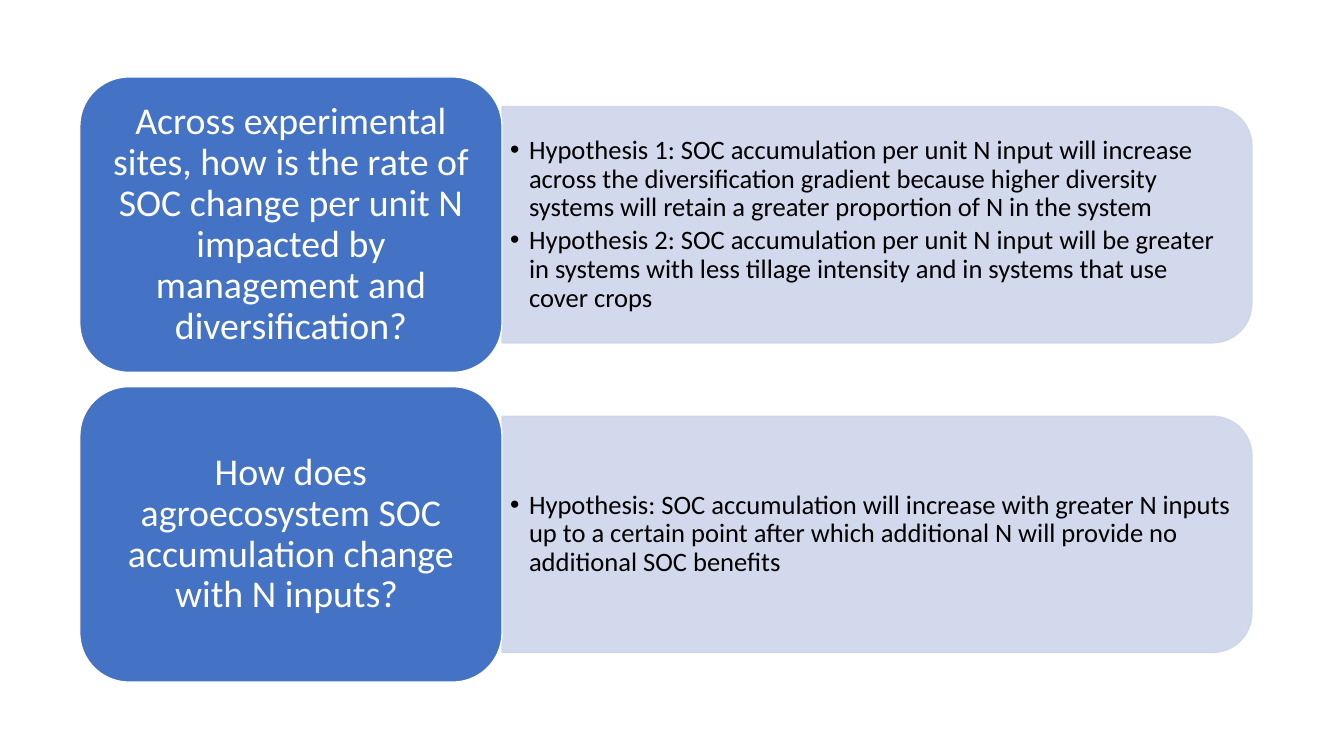
from lxml.etree import SubElement
from pptx import Presentation
from pptx.dml.color import RGBColor
from pptx.enum.shapes import MSO_SHAPE as Shape
from pptx.enum.text import MSO_ANCHOR as Anchor, PP_ALIGN as Align
from pptx.oxml.ns import qn
from pptx.util import Pt

BLUE, PALE, WHITE, BLACK = "4472C4", "CFD5EA", "FFFFFF", "000000"
ROWS = [
    ("Across experimental sites, how is the rate of SOC change per unit N "
     "impacted by management and diversification?",
     ["Hypothesis 1: SOC accumulation per unit N input will increase across the "
      "diversification gradient because higher diversity systems will retain a "
      "greater proportion of N in the system",
      "Hypothesis 2: SOC accumulation per unit N input will be greater in systems "
      "with less tillage intensity and in systems that use cover crops"]),
    ("How does agroecosystem SOC accumulation change with N inputs? ",
     ["Hypothesis: SOC accumulation will increase with greater N inputs up to a "
      "certain point after which additional N will provide no additional SOC benefits"]),
]
LEFT, TOP, WIDTH, ROW_HEIGHT, PITCH = 57, 55, 837.2, 211, 221.2
QUESTION_WIDTH = 301.6
PANEL_HEIGHT = 0.8 * ROW_HEIGHT


def color(hex_code):
    """Turn a hex string into a colour."""
    return RGBColor.from_string(hex_code)


def add_block(slide, preset, left, top, width, height, fill, line, opacity=100):
    """Add a filled and outlined preset shape without a shadow."""
    block = slide.shapes.add_shape(preset, Pt(left), Pt(top), Pt(width), Pt(height))
    block.shadow.inherit = False
    block.fill.solid()
    block.fill.fore_color.rgb = color(fill)
    block.line.color.rgb = color(line)
    block.line.width = Pt(1)
    if opacity < 100:
        for tint in block._element.spPr.iter(qn("a:srgbClr")):
            SubElement(tint, qn("a:alpha"), val=str(opacity * 1000))
    return block


def write_text(holder, lines, size, ink, align=Align.LEFT, inset=(0, 0), after=0, indent=0):
    """Fill a shape with middle-anchored paragraphs, bulleted when indented."""
    frame = holder.text_frame
    frame.word_wrap = True
    frame.vertical_anchor = Anchor.MIDDLE
    frame.margin_left = frame.margin_right = Pt(inset[0])
    frame.margin_top = frame.margin_bottom = Pt(inset[1])
    for number, line in enumerate(lines):
        paragraph = frame.add_paragraph() if number else frame.paragraphs[0]
        paragraph.alignment = align
        paragraph.line_spacing = 0.9
        paragraph.space_after = Pt(after)
        run = paragraph.add_run()
        run.text = line
        run.font.name = "Calibri"
        run.font.size = Pt(size)
        run.font.color.rgb = color(ink)
        if indent:
            paragraph.level = 1
            properties = paragraph._p.get_or_add_pPr()
            properties.set("marL", str(Pt(indent)))
            properties.set("indent", str(-Pt(indent)))
            SubElement(properties, qn("a:buFont"), typeface="Arial")
            SubElement(properties, qn("a:buChar"), char="•")


def add_hypotheses(slide, hypotheses, left, top, width, height):
    """Draw the pale panel, rounded on its right side, with its bullets."""
    panel = add_block(slide, Shape.ROUND_2_SAME_RECTANGLE,
                      left + (width - height) / 2, top + (height - width) / 2,
                      height, width, PALE, PALE, opacity=90)
    panel.rotation = 90
    margin = 8.2
    bullets = slide.shapes.add_textbox(Pt(left), Pt(top + margin), Pt(width - margin),
                                       Pt(height - 2 * margin))
    write_text(bullets, hypotheses, 19, BLACK, inset=(5.8, 2.9), after=2.85, indent=13.5)


def add_question(slide, question, left, top, width, height):
    """Draw the blue rounded box with its question."""
    box = add_block(slide, Shape.ROUNDED_RECTANGLE, left, top, width, height, BLUE, WHITE)
    write_text(box, [question], 27, WHITE, align=Align.CENTER, inset=(7.7, 4))


def add_row(slide, question, hypotheses, left, top, width, height):
    """Place a question beside its vertically centred hypotheses."""
    add_hypotheses(slide, hypotheses, left + QUESTION_WIDTH,
                   top + (height - PANEL_HEIGHT) / 2, width - QUESTION_WIDTH, PANEL_HEIGHT)
    add_question(slide, question, left, top, QUESTION_WIDTH, height)


def main():
    """Build and save the slide."""
    deck = Presentation()
    deck.slide_width, deck.slide_height = Pt(960), Pt(540)
    slide = deck.slides.add_slide(deck.slide_layouts[6])
    for number, (question, hypotheses) in enumerate(ROWS):
        add_row(slide, question, hypotheses, LEFT, TOP + number * PITCH, WIDTH, ROW_HEIGHT)
    deck.save("out.pptx")


if __name__ == "__main__":
    main()
